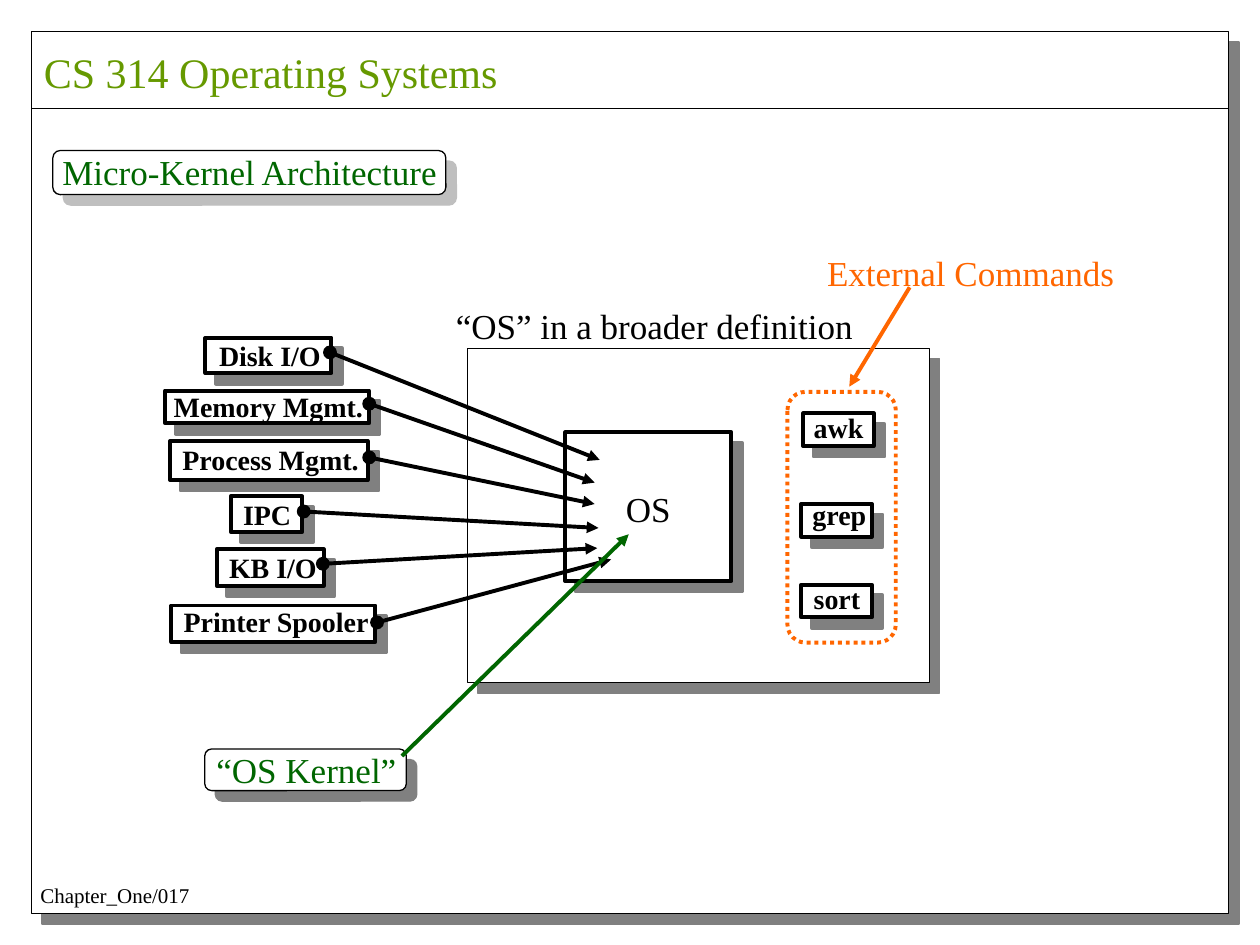
from pptx import Presentation
from pptx.dml.color import RGBColor
from pptx.enum.dml import MSO_LINE
from pptx.enum.shapes import MSO_CONNECTOR, MSO_SHAPE
from pptx.enum.text import MSO_AUTO_SIZE
from pptx.oxml.ns import qn
from pptx.util import Pt
from lxml.etree import SubElement

BLACK = RGBColor(0x00, 0x00, 0x00)
WHITE = RGBColor(0xFF, 0xFF, 0xFF)
GREY = RGBColor(0x80, 0x80, 0x80)
GREEN = RGBColor(0x00, 0x66, 0x00)
OLIVE = RGBColor(0x66, 0x99, 0x00)
ORANGE = RGBColor(0xFF, 0x66, 0x00)
FONT = "Times New Roman"
THIN, THICK = 0.75, 2.25
DOT = 7.2

# name, box (left, top, width, height), label (left, top, width),
# dot centre, arrow tip
PARTS = [
    ("Disk I/O", (117.4, 193, 72, 20.2), (118.1, 190.1, 72),
     (188.6, 201.4), (342.7, 262.8)),
    ("Memory Mgmt.", (94.3, 223.2, 116.6, 18.7), (92.2, 218.9, 122.4),
     (211, 230.7), (339.8, 275.8)),
    ("Process Mgmt.", (97.2, 252, 113, 22.3), (97.2, 249.1, 115.2),
     (211, 261.4), (339.8, 288)),
    ("IPC", (131.8, 283.7, 41, 20.2), (131.8, 280.8, 41.8),
     (173.6, 292.3), (342, 301.7)),
    ("KB I/O", (123.8, 313.9, 61.2, 20.9), (123.8, 311, 64.1),
     (184.5, 322.2), (341.3, 313.2)),
    ("Printer Spooler", (97.9, 346, 116.6, 20.9), (97.9, 342, 120.2),
     (215.5, 355.7), (349.2, 319.7)),
]

# name, box (left, top), label (left, top, width)
TOOLS = [
    ("awk", (459, 236.2), (457.9, 231.1, 42.5)),
    ("grep", (457.9, 288), (457.2, 280.8, 45.4)),
    ("sort", (457.9, 334.1), (457.9, 329, 41)),
]


def add_shade(shape, alpha):
    """Cast a hard grey shadow down and to the right."""
    effects = shape._element.spPr.find(qn("a:effectLst"))
    shade = SubElement(effects, qn("a:outerShdw"), dist=str(Pt(8.5)),
                       dir="2700000", algn="ctr", rotWithShape="0")
    color = SubElement(shade, qn("a:srgbClr"), val=str(GREY))
    SubElement(color, qn("a:alpha"), val=str(alpha * 1000))


def add_box(slide, kind, area, width=THIN, fill=WHITE, line=BLACK, shade=100):
    shape = slide.shapes.add_shape(kind, *map(Pt, area))
    shape.shadow.inherit = False
    if fill is None:
        shape.fill.background()
    else:
        shape.fill.solid()
        shape.fill.fore_color.rgb = fill
    shape.line.color.rgb = line
    shape.line.width = Pt(width)
    if shade:
        add_shade(shape, shade)
    return shape


def add_label(slide, text, place, size=20, color=BLACK, bold=False):
    """Place one line of text at (left, top, width)."""
    height = size * 1.2 + 7.4
    box = slide.shapes.add_textbox(*map(Pt, place), Pt(height))
    frame = box.text_frame
    frame.word_wrap = True
    frame.auto_size = MSO_AUTO_SIZE.NONE
    frame.margin_right = Pt(0)
    run = frame.paragraphs[0].add_run()
    run.text = text
    run.font.name = FONT
    run.font.size = Pt(size)
    run.font.bold = bold
    run.font.color.rgb = color


def add_line(slide, start, end, color=BLACK, width=THICK, arrow=True):
    line = slide.shapes.add_connector(
        MSO_CONNECTOR.STRAIGHT, *map(Pt, start + end))
    line.line.color.rgb = color
    line.line.width = Pt(width)
    props = line._element.spPr
    if arrow:
        SubElement(props.find(qn("a:ln")), qn("a:tailEnd"), type="triangle")
    SubElement(props, qn("a:effectLst"))


def add_tag(slide, text, area, place, shade=100):
    """Green text on a rounded plate."""
    plate = add_box(slide, MSO_SHAPE.ROUNDED_RECTANGLE, area, shade=shade)
    plate.adjustments[0] = 0.167
    add_label(slide, text, place, color=GREEN)


def add_page(slide):
    add_box(slide, MSO_SHAPE.RECTANGLE, (18, 18, 684, 504))
    add_line(slide, (18, 61.9), (702, 61.9), width=THIN, arrow=False)
    add_label(slide, "CS 314 Operating Systems", (18, 23, 273.6), 24, OLIVE)
    add_label(slide, "Chapter_One/017", (16, 500.8, 99.4), 12)
    add_tag(slide, "Micro-Kernel Architecture", (30.2, 86, 224.6, 25.2),
            (28.5, 82.4, 229.7), shade=50)


def add_system(slide):
    add_box(slide, MSO_SHAPE.RECTANGLE, (267, 199, 264, 191))
    add_label(slide, "“OS” in a broader definition", (253.4, 170.2, 241.2))
    add_box(slide, MSO_SHAPE.RECTANGLE, (323, 247, 95, 85), THICK)
    add_label(slide, "OS", (350.6, 275, 39.6))


def add_tools(slide):
    for name, spot, place in TOOLS:
        add_box(slide, MSO_SHAPE.RECTANGLE, spot + (40.3, 18.7), THICK)
        add_label(slide, name, place, 16, bold=True)
    ring = add_box(slide, MSO_SHAPE.ROUNDED_RECTANGLE,
                   (450, 223.9, 61.9, 143.3), THICK, None, ORANGE, 0)
    ring.adjustments[0] = 0.167
    ring.line.dash_style = MSO_LINE.ROUND_DOT
    add_label(slide, "External Commands", (465.5, 140.4, 178.6), color=ORANGE)
    add_line(slide, (519.8, 164.2), (485.3, 221), ORANGE)


def add_parts(slide):
    for name, area, place, _, _ in PARTS:
        add_box(slide, MSO_SHAPE.RECTANGLE, area, THICK)
        add_label(slide, name, place, 16, bold=True)
    for _, _, _, start, tip in PARTS:
        x, y = start
        add_box(slide, MSO_SHAPE.OVAL, (x - DOT / 2, y - DOT / 2, DOT, DOT),
                fill=BLACK, shade=0)
        add_line(slide, start, tip)


def add_kernel(slide):
    add_tag(slide, "“OS Kernel”", (117, 428, 115.2, 23.8),
            (116.6, 424.1, 117.4))
    add_line(slide, (229.7, 432), (359.3, 305.3), GREEN)


def main():
    deck = Presentation()
    deck.slide_width, deck.slide_height = Pt(720), Pt(540)
    slide = deck.slides.add_slide(deck.slide_layouts[6])
    add_page(slide)
    add_system(slide)
    add_tools(slide)
    add_parts(slide)
    add_kernel(slide)
    deck.save("out.pptx")


if __name__ == "__main__":
    main()
